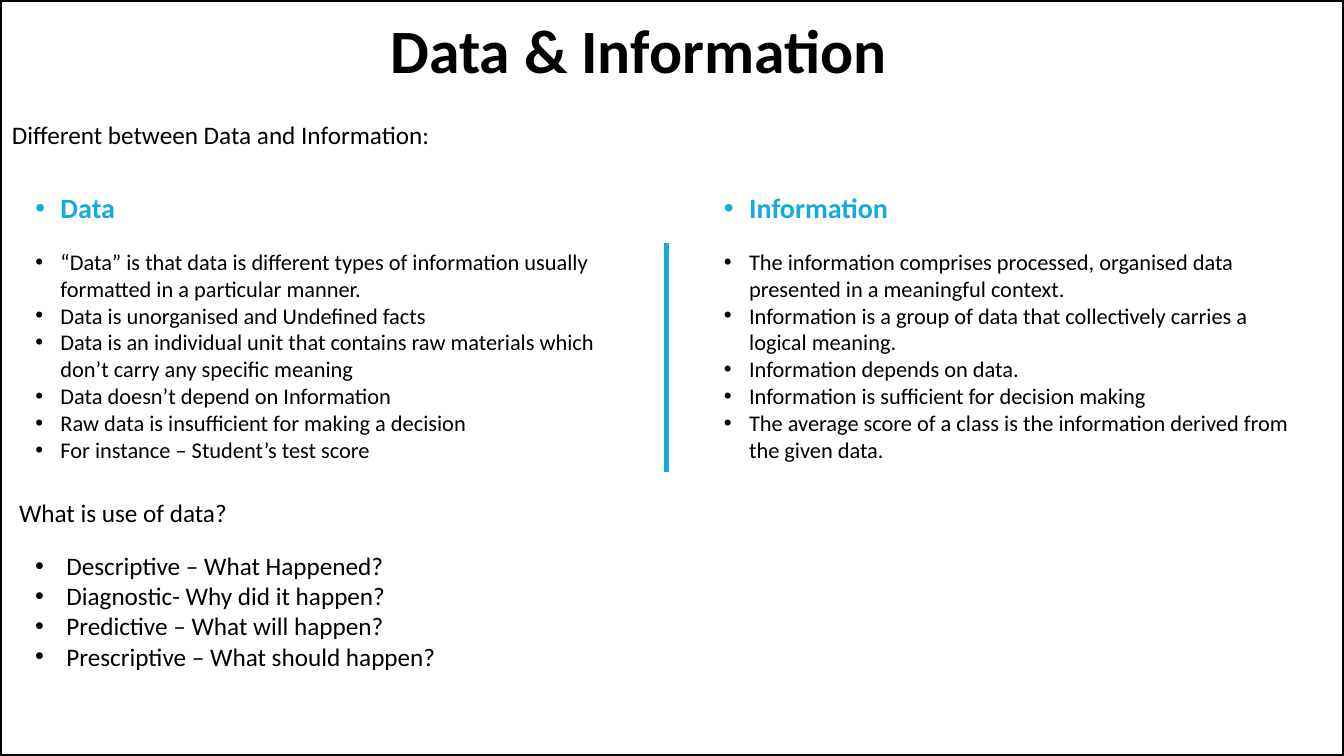
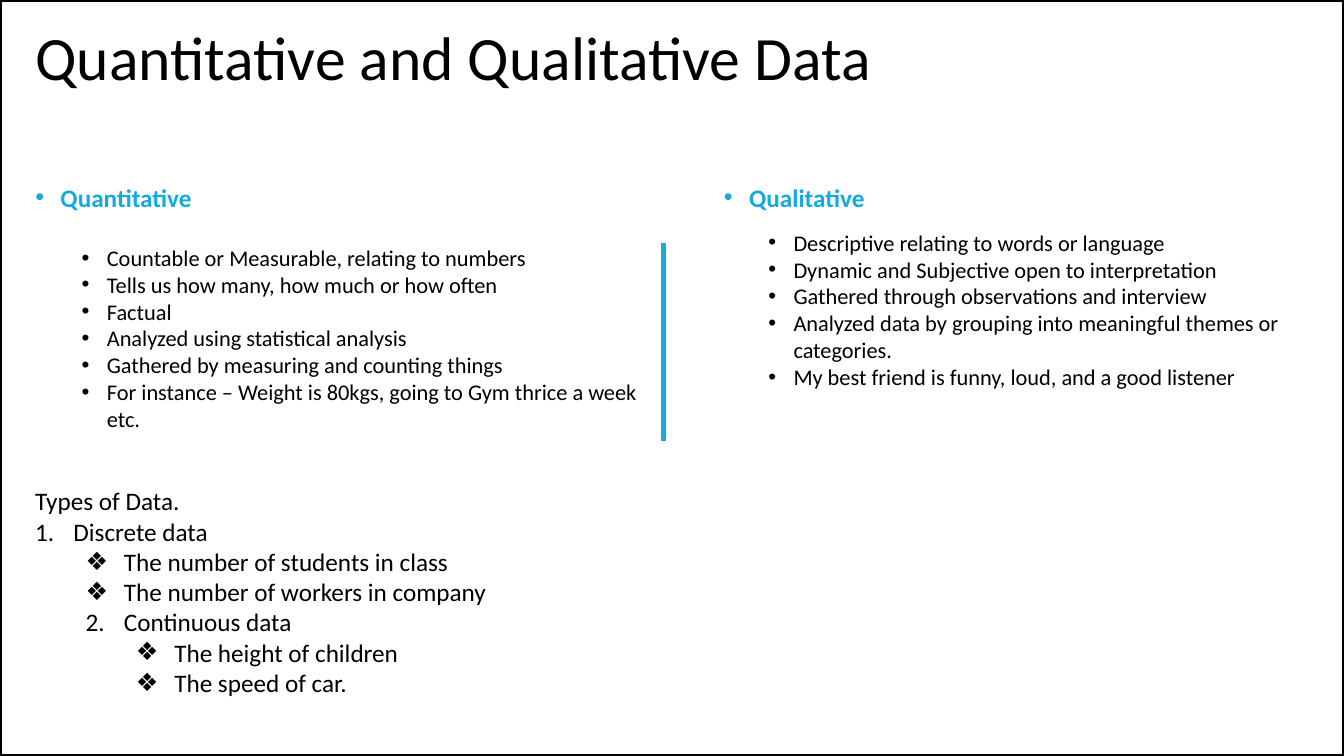
from lxml import etree
from pptx import Presentation
from pptx.dml.color import RGBColor
from pptx.enum import shapes, text
from pptx.oxml import ns
from pptx.util import Inches, Pt

# Content: list entries are (text, level, marker); a number marker starts its own count
DOT, DIAMOND = "•", "❖"


def bullets(lines, level=0):
    return [(line, level, DOT) for line in lines]


DATA_FACTS = bullets([
    "“Data” is that data is different types of information usually formatted in a particular manner.",
    "Data is unorganised and Undefined facts",
    "Data is an individual unit that contains raw materials which don’t carry any specific meaning",
    "Data doesn’t depend on Information",
    "Raw data is insufficient for making a decision",
    "For instance – Student’s test score",
])
INFORMATION_FACTS = bullets([
    "The information comprises processed, organised data presented in a meaningful context.",
    "Information is a group of data that collectively carries a logical meaning.",
    "Information depends on data.",
    "Information is sufficient for decision making",
    "The average score of a class is the information derived from the given data.",
])
DATA_USES = bullets([
    "Descriptive – What Happened?",
    "Diagnostic- Why did it happen?",
    "Predictive – What will happen?",
    "Prescriptive – What should happen?",
])
QUANTITATIVE_FACTS = bullets([
    "Countable or Measurable, relating to numbers",
    "Tells us how many, how much or how often",
    "Factual",
    "Analyzed using statistical analysis",
    "Gathered by measuring and counting things",
    "For instance – Weight is 80kgs, going to Gym thrice a week etc.",
])
QUALITATIVE_FACTS = bullets([
    "Descriptive relating to words or language",
    "Dynamic and Subjective open to interpretation",
    "Gathered through observations and interview",
    "Analyzed data by grouping into meaningful themes or categories.",
    "My best friend is funny, loud, and a good listener",
], level=1)
DATA_TYPES = [
    ("Types of Data.", 0, None),
    ("Discrete data", 0, 1),
    ("The number of students in class", 1, DIAMOND),
    ("The number of workers in company", 1, DIAMOND),
    ("Continuous data", 1, 2),
    ("The height of children", 2, DIAMOND),
    ("The speed of car.", 2, DIAMOND),
]

# Shared style
FONT = "Calibri"
BLACK = RGBColor(0x00, 0x00, 0x00)
WHITE = RGBColor(0xFF, 0xFF, 0xFF)
ACCENT = RGBColor(0x12, 0xAB, 0xDB)
WIDTH, HEIGHT = 13.33, 7.5
LEFT, RIGHT, COLUMN = 0.25, 7.08, 5.91
LEVEL_STEP = 0.5
TOP, MIDDLE = text.MSO_ANCHOR.TOP, text.MSO_ANCHOR.MIDDLE

deck = Presentation()
deck.slide_width, deck.slide_height = Inches(WIDTH), Inches(HEIGHT)
comparison = deck.slide_layouts[4]


def place(box, area):
    box.left, box.top, box.width, box.height = (Inches(length) for length in area)


def set_marker(para, level, marker, hang):
    props = para._p.get_or_add_pPr()
    props.set("marL", str(Inches(hang + level * LEVEL_STEP)))
    props.set("indent", str(-Inches(hang)))
    if isinstance(marker, int):
        number = etree.SubElement(props, ns.qn("a:buAutoNum"), type="arabicPeriod")
        number.set("startAt", str(marker))
    else:
        etree.SubElement(props, ns.qn("a:buFont"), typeface="Arial")
        etree.SubElement(props, ns.qn("a:buChar"), char=marker)


def write(box, items, size, color=BLACK, bold=False, anchor=TOP, hang=0.25,
          align=text.PP_ALIGN.LEFT, spacing=1.0):
    frame = box.text_frame
    frame.word_wrap = True
    frame.auto_size = text.MSO_AUTO_SIZE.NONE
    frame.vertical_anchor = anchor
    for index, (words, level, marker) in enumerate(items):
        para = frame.add_paragraph() if index else frame.paragraphs[0]
        para.level, para.alignment = level, align
        para.line_spacing, para.space_before = spacing, Pt(0)
        if marker is not None:
            set_marker(para, level, marker, hang)
        span = para.add_run()
        span.text = words
        span.font.name, span.font.size, span.font.bold = FONT, Pt(size), bold
        span.font.color.rgb = color


def add_text(page, area, items, size, **style):
    box = page.shapes.add_textbox(*(Inches(length) for length in area))
    write(box, items, size, **style)


def add_rectangle(page, area, color, weight):
    box = page.shapes.add_shape(shapes.MSO_SHAPE.RECTANGLE,
                                *(Inches(length) for length in area))
    box.shadow.inherit = False
    box.fill.background()
    box.line.color.rgb, box.line.width = color, Pt(weight)
    return box


def add_divider(page, x, top, bottom):
    line = page.shapes.add_connector(shapes.MSO_CONNECTOR.STRAIGHT, Inches(x), Inches(top),
                                     Inches(x), Inches(bottom))
    line.line.color.rgb, line.line.width = ACCENT, Pt(3.75)
    etree.SubElement(line._element.spPr, ns.qn("a:effectLst"))


def add_page(title, title_top, title_style, columns, heading_row, heading_size, divider):
    page = deck.slides.add_slide(comparison)
    place(page.shapes.title, (LEFT, title_top, 12.17, 1.21))
    write(page.shapes.title, [(title, 0, None)], 44, anchor=MIDDLE, spacing=0.9, **title_style)
    # Each column takes a heading placeholder and the list placeholder after it
    for x, slot, (heading, facts, area) in zip((LEFT, RIGHT), (1, 3), columns):
        head, body = page.placeholders[slot], page.placeholders[slot + 1]
        place(head, (x, heading_row[0], COLUMN, heading_row[1]))
        write(head, bullets([heading]), heading_size, color=ACCENT, bold=True, anchor=MIDDLE)
        place(body, area)
        write(body, facts, 16)
    add_divider(page, *divider)
    return page


def add_border(page):
    add_rectangle(page, (0, 0, WIDTH, HEIGHT), BLACK, 2.25)


# Slide 1: data and information
page = add_page(
    "Data & Information", -0.07, {"bold": True, "align": text.PP_ALIGN.CENTER},
    [("Data", DATA_FACTS, (LEFT, 2.41, COLUMN, 2.27)),
     ("Information", INFORMATION_FACTS, (RIGHT, 2.41, 5.84, 2.35))],
    (1.75, 0.62), 20, (6.61, 2.41, 4.68))
for words, x, y in (("Different between Data and Information:", 0.02, 1.01),
                    ("What is use of data?", 0.09, 4.76)):
    add_text(page, (x, y, 4.95, 0.65), [(words, 0, None)], 18, anchor=MIDDLE)
add_text(page, (LEFT, 5.41, 12.74, 1.39), DATA_USES, 18, hang=0.31)
add_border(page)

# Slide 2: quantitative and qualitative data
page = add_page(
    "Quantitative and Qualitative Data", 0, {},
    [("Quantitative", QUANTITATIVE_FACTS, (0.71, 2.37, COLUMN, 2.04)),
     ("Qualitative", QUALITATIVE_FACTS, (7.02, 2.22, 5.84, 2.42))],
    (1.55, 0.81), 18, (6.58, 2.41, 4.38))
types_box = add_rectangle(page, (LEFT, 4.77, 12.89, 2.39), WHITE, 1)
write(types_box, DATA_TYPES, 18, hang=0.38)
add_border(page)

deck.save("out.pptx")
